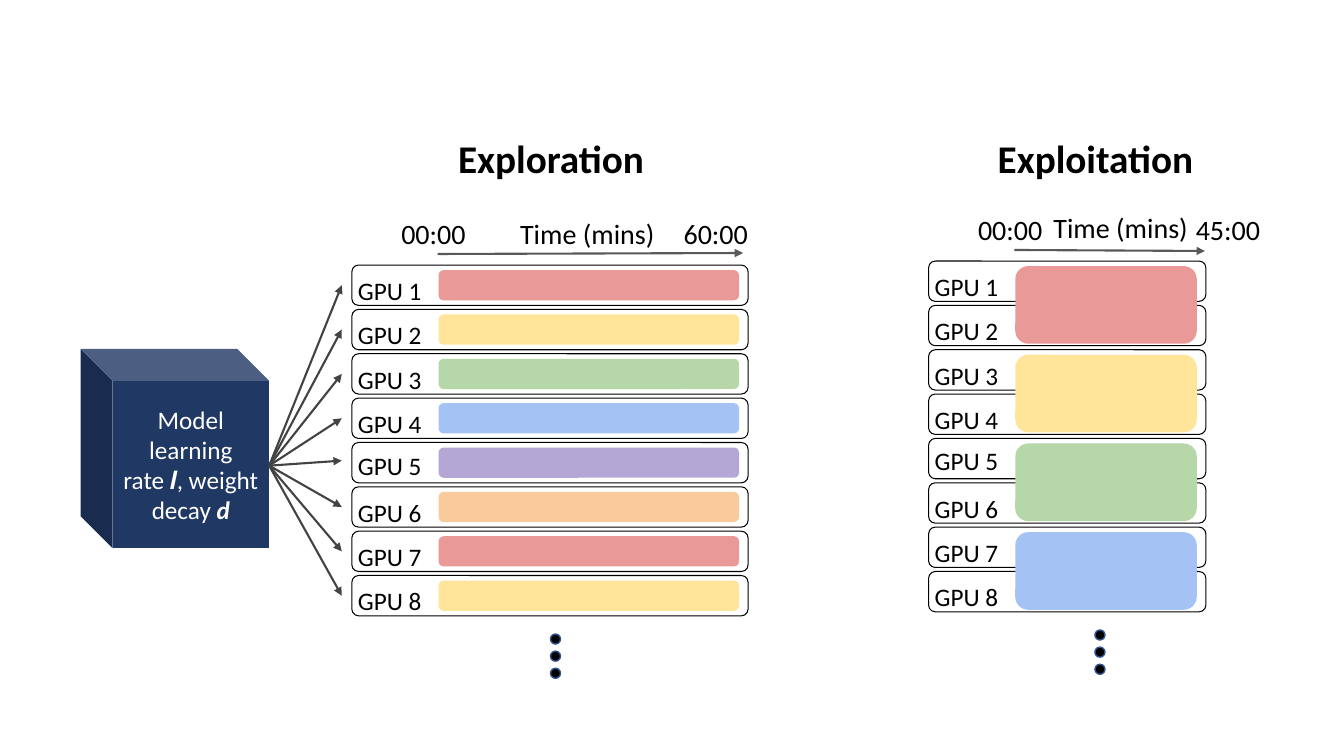
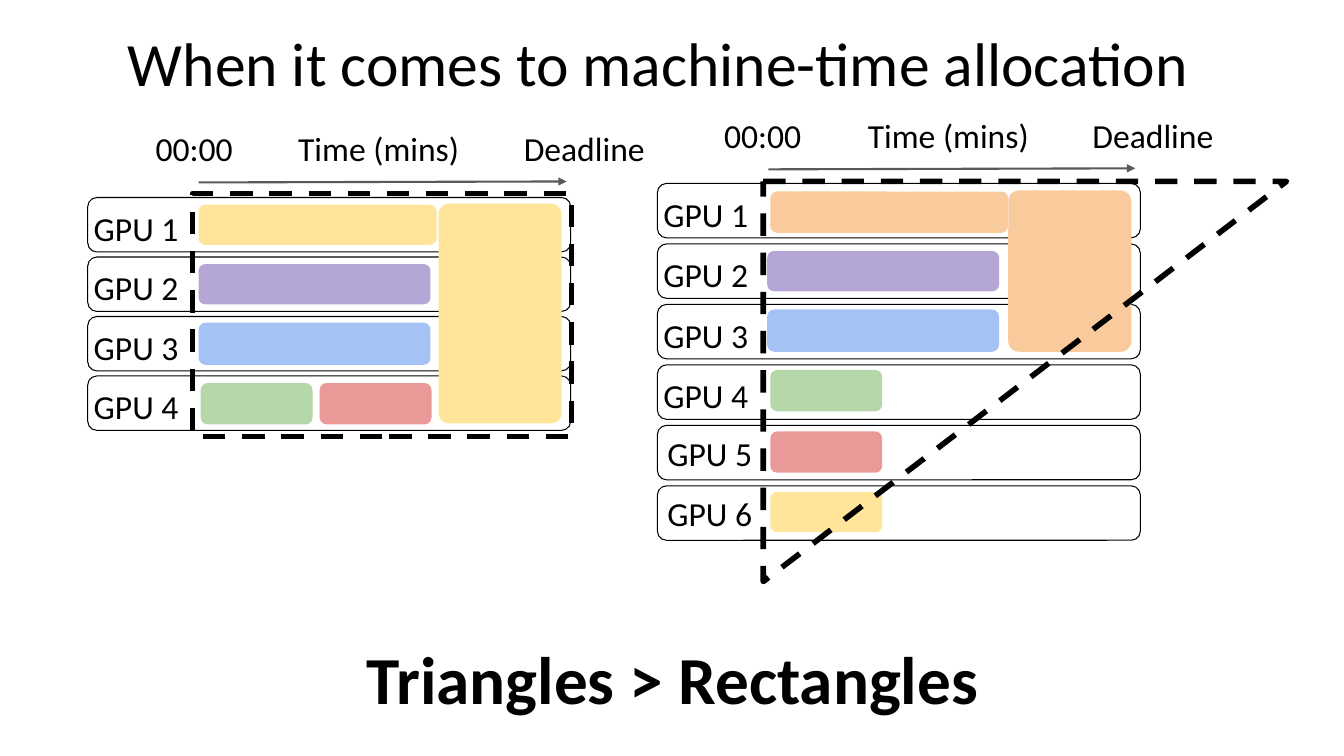
"""Build two slides on GPU time allocation: exploration versus exploitation, triangles versus rectangles."""
import pptx
import pptx.util
import pptx.dml.color
import pptx.enum.dml
import pptx.enum.shapes
import pptx.enum.text
import pptx.oxml
import pptx.oxml.ns

Inches = pptx.util.Inches
Pt = pptx.util.Pt
RGB = pptx.dml.color.RGBColor.from_string
SHAPE = pptx.enum.shapes.MSO_SHAPE
ALIGN = pptx.enum.text.PP_ALIGN
ANCHOR = pptx.enum.text.MSO_ANCHOR

FONT = "Calibri"
COLORS = {
    "black": "000000", "white": "FFFFFF", "navy": "203864", "dot_line": "325491",
    "axis": "595959", "fan": "434343", "red": "EA9999", "yellow": "FFE599",
    "green": "B6D7A8", "blue": "A4C2F4", "purple": "B4A7D6", "orange": "F9CB9C",
}


def add_shape(slide, kind, box, fill=None, line=None, weight=0.75, dashed=False, adjust=None):
    shape = slide.shapes.add_shape(kind, *map(Inches, box))
    shape.shadow.inherit = False
    if adjust is not None:
        shape.adjustments[0] = adjust
    if fill:
        shape.fill.solid()
        shape.fill.fore_color.rgb = RGB(COLORS[fill])
    else:
        shape.fill.background()
    if line:
        shape.line.color.rgb = RGB(COLORS[line])
        shape.line.width = Pt(weight)
        if dashed:
            shape.line.dash_style = pptx.enum.dml.MSO_LINE.DASH
    else:
        shape.line.fill.background()
    return shape


def add_text(slide, text, box=None, shape=None, size=18, color="black", bold=False,
             align=ALIGN.CENTER, anchor=ANCHOR.TOP, inset=0.1, grow=False, emphasis=""):
    shape = shape or slide.shapes.add_textbox(*map(Inches, box))
    frame = shape.text_frame
    frame.word_wrap = True
    frame.vertical_anchor = anchor
    frame.margin_left = frame.margin_right = Inches(0.1)
    frame.margin_top = frame.margin_bottom = Inches(inset)
    if grow:
        frame.auto_size = pptx.enum.text.MSO_AUTO_SIZE.SHAPE_TO_FIT_TEXT
    paragraph = frame.paragraphs[0]
    paragraph.alignment = align
    for words, stressed in ((text, False), (emphasis, True)):
        if words:
            run = paragraph.add_run()
            run.text = words
            run.font.name = FONT
            run.font.size = Pt(size)
            run.font.color.rgb = RGB(COLORS[color])
            run.font.bold = bold or stressed
            run.font.italic = stressed
    return shape


presentation = pptx.Presentation()
presentation.slide_width = Inches(13.33)
presentation.slide_height = Inches(7.5)
blank = presentation.slide_layouts[6]
phases = presentation.slides.add_slide(blank)
allocation = presentation.slides.add_slide(blank)

cube = add_shape(phases, SHAPE.CUBE, (0.8, 3.46, 1.87, 1.98), fill="navy", adjust=0.17)
cube.element.spPr.find(pptx.oxml.ns.qn("a:xfrm")).set("flipH", "1")
add_text(phases, "Model learning rate 𝒍, weight decay ", shape=cube, color="white",
         anchor=ANCHOR.MIDDLE, emphasis="d")

add_text(allocation, "When it comes to machine-time allocation", (1.17, 0.2, 11.25, 0.84),
         size=44, align=ALIGN.LEFT, inset=0.05, grow=True)

exploration_colors = ["red", "yellow", "green", "blue", "purple", "orange", "red", "yellow"]
exploitation_colors = ["red", "yellow", "green", "blue"]

panels = [
    {"slide": phases, "rows": 8, "frame": (3.49, 2.63, 3.93, 0.4), "pitch": 0.44,
     "label": (3.39, 0.95), "nudges": {4: (0, -0.02)}, "size": 18, "time_size": 20,
     "times": [("00:00", (3.85, 2.05, 0.9, 0.4)), ("Time (mins)", (4.97, 2.05, 1.71, 0.4)),
               ("60:00", (6.65, 2.05, 0.9, 0.4))],
     "axis": (4.34, 2.52, 7.37, 2.51), "fan": (2.67, 4.62),
     "bars": [(color, (4.35, 2.68 + 0.44 * row, 2.98, 0.3), 0.167)
              for row, color in enumerate(exploration_colors)]},
    {"slide": phases, "rows": 8, "frame": (9.21, 2.59, 2.75, 0.4), "pitch": 0.44,
     "label": (9.11, 0.95), "nudges": {4: (0, -0.03)}, "size": 18, "time_size": 20,
     "times": [("00:00", (9.57, 2.01, 0.9, 0.4)), ("Time (mins)", (10.26, 1.99, 1.71, 0.4)),
               ("45:00", (11.73, 2.01, 0.9, 0.4))],
     "axis": (10.06, 2.48, 11.95, 2.49), "fan": None,
     "bars": [(color, (10.07, 2.64 + 0.88 * pair, 1.8, 0.77), 0.167)
              for pair, color in enumerate(exploitation_colors)]},
    {"slide": allocation, "rows": 4, "frame": (0.87, 1.96, 4.79, 0.54), "pitch": 0.59,
     "label": (0.71, 1.28), "nudges": {}, "size": 24, "time_size": 24,
     "times": [("00:00", (1.32, 1.17, 1.21, 0.54)), ("Time (mins)", (2.6, 1.17, 2.31, 0.54)),
               ("Deadline", (4.92, 1.17, 1.75, 0.47))],
     "axis": (1.97, 1.81, 5.62, 1.8), "fan": None,
     "bars": [("yellow", (1.97, 2.03, 2.36, 0.4), 0.167),
              ("purple", (1.97, 2.62, 2.3, 0.4), 0.167),
              ("blue", (1.97, 3.2, 2.3, 0.42), 0.167),
              ("green", (1.99, 3.8, 1.11, 0.41), 0.167),
              ("red", (3.17, 3.8, 1.11, 0.41), 0.167),
              ("yellow", (4.35, 2.02, 1.22, 2.18), 0.086)]},
    {"slide": allocation, "rows": 6, "frame": (6.52, 1.82, 4.79, 0.54), "pitch": 0.6,
     "label": (6.36, 1.28), "nudges": {4: (0.04, -0.03), 5: (0.04, -0.03)},
     "size": 24, "time_size": 24,
     "times": [("00:00", (6.96, 1.04, 1.21, 0.54)), ("Time (mins)", (8.25, 1.04, 2.31, 0.54)),
               ("Deadline", (10.56, 1.04, 1.75, 0.47))],
     "axis": (7.62, 1.68, 11.26, 1.67), "fan": None,
     "bars": [("orange", (7.64, 1.9, 2.36, 0.41), 0.167),
              ("purple", (7.61, 2.49, 2.3, 0.4), 0.167),
              ("blue", (7.61, 3.07, 2.3, 0.42), 0.167),
              ("green", (7.64, 3.67, 1.11, 0.41), 0.167),
              ("red", (7.64, 4.28, 1.11, 0.41), 0.167),
              ("yellow", (7.64, 4.88, 1.11, 0.4), 0.167),
              ("orange", (10, 1.89, 1.22, 1.6), 0.086)]},
]

for panel in panels:
    slide = panel["slide"]
    left, top, width, height = panel["frame"]
    label_left, label_width = panel["label"]
    row_tops = [top + panel["pitch"] * row for row in range(panel["rows"])]

    for row_top in row_tops:
        add_shape(slide, SHAPE.ROUNDED_RECTANGLE, (left, row_top, width, height),
                  line="black", adjust=0.167)
    for color, box, radius in panel["bars"]:
        add_shape(slide, SHAPE.ROUNDED_RECTANGLE, box, fill=color, adjust=radius)

    arrows = [(panel["axis"], "axis", None)]
    for row, row_top in enumerate(row_tops):
        shift_x, shift_y = panel["nudges"].get(row, (0, 0))
        label = add_text(slide, f"GPU {row + 1}",
                         (label_left + shift_x, row_top + shift_y, label_width, height),
                         size=panel["size"])
        if panel["fan"]:
            arrows.append((panel["fan"] + (label_left, row_top), "fan", label))
    for text, box in panel["times"]:
        add_text(slide, text, box, size=panel["time_size"])

    for points, color, target in arrows:
        connector = slide.shapes.add_connector(
            pptx.enum.shapes.MSO_CONNECTOR.STRAIGHT, *map(Inches, points))
        if target is not None:
            connector.end_connect(target, 1)
        connector.line.color.rgb = RGB(COLORS[color])
        connector.line.width = Pt(1.5)
        line_xml = connector.line._get_or_add_ln()
        line_xml.append(pptx.oxml.parse_xml(
            f'<a:tailEnd {pptx.oxml.ns.nsdecls("a")} type="triangle"/>'))
        connector.element.spPr.append(pptx.oxml.parse_xml(
            f'<a:effectLst {pptx.oxml.ns.nsdecls("a")}/>'))

for heading, heading_left, dot_left, dot_top in (("Exploration", 3.43, 5.46, 6.29),
                                                 ("Exploitation", 8.83, 10.86, 6.25)):
    add_text(phases, heading, (heading_left, 1.28, 4.07, 0.57), size=28, bold=True,
             inset=0.05, grow=True)
    for dot in range(3):
        add_shape(phases, SHAPE.OVAL, (dot_left, dot_top + 0.17 * dot, 0.1, 0.1),
                  fill="black", line="dot_line", weight=1)

add_shape(allocation, SHAPE.RECTANGLE, (1.91, 1.92, 3.76, 2.41),
          line="black", weight=4, dashed=True)
triangle = add_shape(allocation, SHAPE.ISOSCELES_TRIANGLE, (8.18, 1.19, 3.97, 5.19),
                     line="black", weight=4, dashed=True, adjust=0)
triangle.rotation = 90
add_text(allocation, "Triangles > Rectangles", (3.04, 6.27, 7.26, 0.91), size=48, bold=True,
         inset=0.05, grow=True)

presentation.save("out.pptx")
